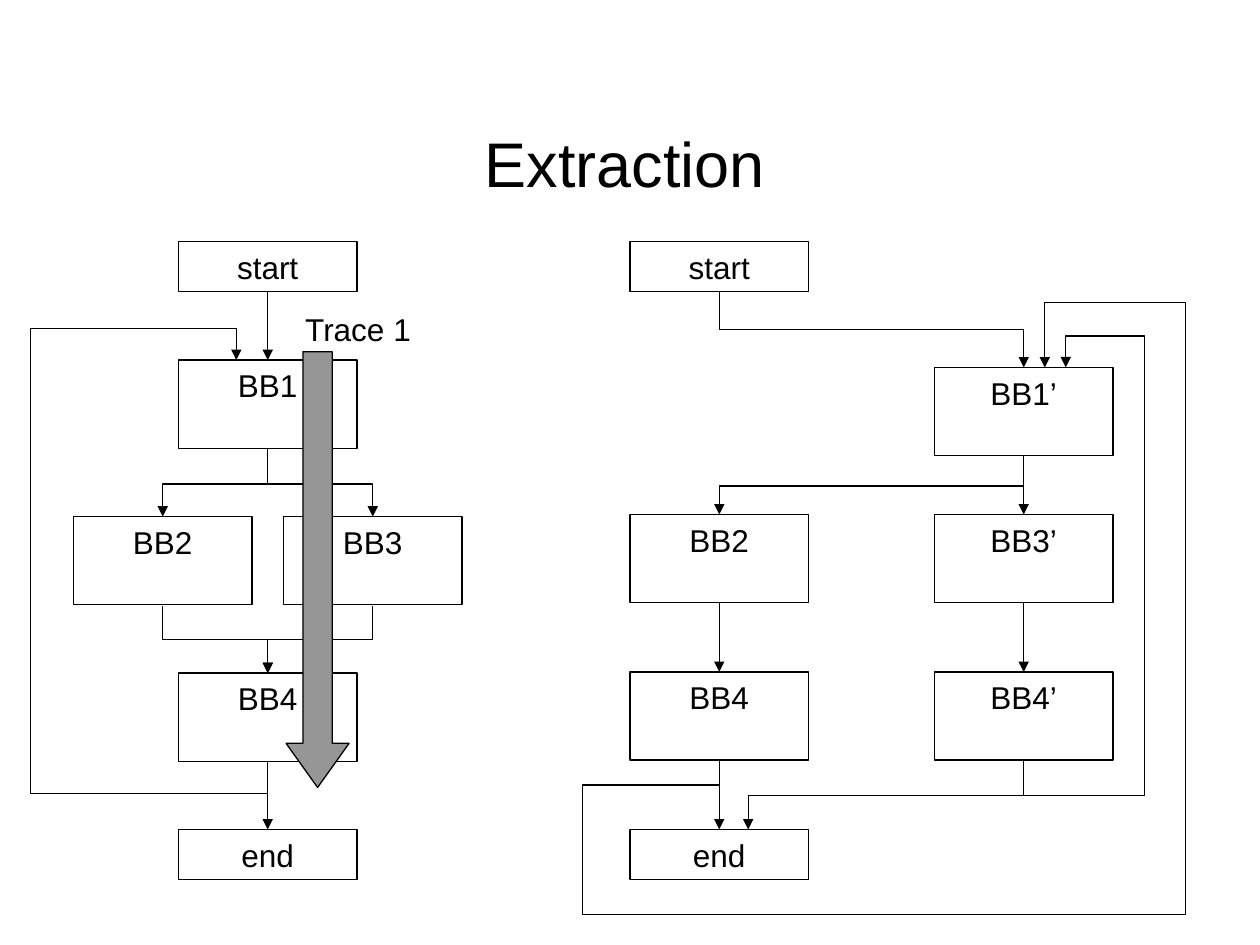
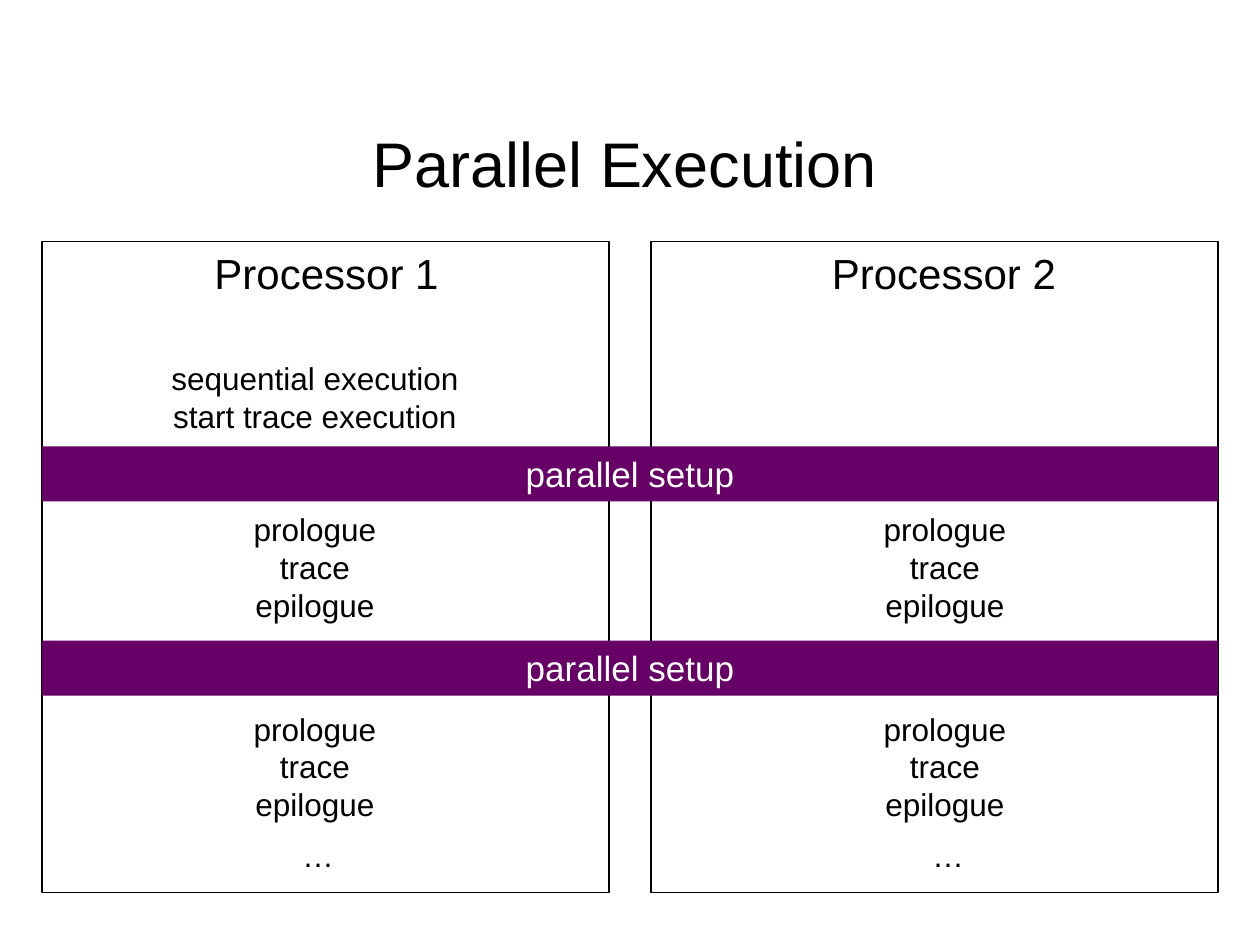
"""Build two slides on trace extraction and parallel execution."""
import lxml.etree
import pptx
import pptx.dml.color
import pptx.enum.shapes
import pptx.enum.text
import pptx.oxml.ns
import pptx.util

COLOURS = {"ink": "000000", "paper": "FFFFFF", "setup": "660066", "trace": "969696"}
FONT = "Arial"
UNIT = pptx.util.Inches(1) / 12
BLOCK_WIDTH, BLOCK_HEIGHT, TERMINAL_HEIGHT = 17, 8.4, 4.8
SHAPES = pptx.enum.shapes.MSO_SHAPE
CONNECTORS = pptx.enum.shapes.MSO_CONNECTOR
qn = pptx.oxml.ns.qn


def add_block(slide, words, area, size=18, fill=None, outline=None, ink="ink", wrap=True, preset=SHAPES.RECTANGLE):
    """Add a preset shape with centred text; area is in grid units."""
    block = slide.shapes.add_shape(preset, *(round(n * UNIT) for n in area))
    block.shadow.inherit = False
    block.fill.background()
    block.line.fill.background()
    if fill:
        block.fill.solid()
        block.fill.fore_color.rgb = pptx.dml.color.RGBColor.from_string(COLOURS[fill])
    if outline:
        block.line.color.rgb = pptx.dml.color.RGBColor.from_string(COLOURS[outline])
        block.line.width = pptx.util.Pt(0.75)
    frame = block.text_frame
    frame.text = words
    frame.word_wrap = wrap
    frame.vertical_anchor = pptx.enum.text.MSO_ANCHOR.TOP
    for paragraph in frame.paragraphs:
        paragraph.alignment = pptx.enum.text.PP_ALIGN.CENTER
        for run in paragraph.runs:
            run.font.name = FONT
            run.font.size = pptx.util.Pt(size)
            run.font.color.rgb = pptx.dml.color.RGBColor.from_string(COLOURS[ink])
    return block


def add_flow(slide, begin, end, turns=(), arrow=True):
    """Add a straight flow, or a vertical-first elbow turning at y or at y, x, y."""
    (x1, y1), (x2, y2) = begin, end
    dx, dy = x2 - x1, y2 - y1
    if turns:
        mid_x, mid_y = (x1 + x2) / 2, (y1 + y2) / 2
        half_w, half_h = abs(dy) / 2, abs(dx) / 2
        corners = (mid_x - half_w, mid_y - half_h, mid_x + half_w, mid_y + half_h)
    else:
        corners = (x1, y1, x2, y2)
    kind = CONNECTORS.ELBOW if turns else CONNECTORS.STRAIGHT
    flow = slide.shapes.add_connector(kind, *(round(n * UNIT) for n in corners))
    flow.line.color.rgb = pptx.dml.color.RGBColor.from_string(COLOURS["ink"])
    flow.line.width = pptx.util.Pt(0.75)
    properties = flow._element.spPr
    if turns:
        frame = properties.find(qn("a:xfrm"))
        frame.set("rot", str((90 if dx * dy < 0 else 270) * 60000))
        frame.set("flipH", str(int(dx > 0)))
        frame.set("flipV", str(int(dy < 0)))
        geometry = properties.find(qn("a:prstGeom"))
        geometry.set("prst", f"bentConnector{len(turns) + 2}")
        guides = geometry.find(qn("a:avLst"))
        if guides is None:
            guides = lxml.etree.SubElement(geometry, qn("a:avLst"))
        for i, turn in enumerate(turns):
            share = (turn - x1) / dx if i % 2 else (turn - y1) / dy
            lxml.etree.SubElement(guides, qn("a:gd"), name=f"adj{i + 1}", fmla=f"val {round(share * 100000)}")
    if arrow:
        lxml.etree.SubElement(properties.find(qn("a:ln")), qn("a:tailEnd"), type="triangle")
    lxml.etree.SubElement(properties, qn("a:effectLst"))
    return flow


deck = pptx.Presentation()
deck.slide_width = round(120 * UNIT)
deck.slide_height = round(90 * UNIT)

slides = []
for heading in ("Extraction", "Parallel Execution"):
    slide = deck.slides.add_slide(deck.slide_layouts[5])
    title = slide.shapes.title
    title.left, title.top, title.width, title.height = (round(n * UNIT) for n in (6, 8, 107, 15))
    title.text_frame.text = heading
    title.text_frame.vertical_anchor = pptx.enum.text.MSO_ANCHOR.MIDDLE
    caption = title.text_frame.paragraphs[0]
    caption.alignment = pptx.enum.text.PP_ALIGN.CENTER
    caption.runs[0].font.name = FONT
    caption.runs[0].font.size = pptx.util.Pt(36)
    caption.runs[0].font.color.rgb = pptx.dml.color.RGBColor.from_string(COLOURS["ink"])
    slides.append(slide)
extraction, execution = slides

before_blocks = {
    "start": (17, 23), "BB1": (17, 34.3), "BB2": (7, 49.2),
    "BB3": (27, 49.2), "BB4": (17, 64.1), "end": (17, 79),
}
after_blocks = {
    "start": (60, 23), "BB1’": (89, 35), "BB2": (60, 49), "BB3’": (89, 49),
    "BB4": (60, 64), "BB4’": (89, 64), "end": (60, 79),
}
before_steps = [("start", "BB1"), ("BB4", "end")]
after_steps = [("BB1’", "BB3’"), ("BB3’", "BB4’"), ("BB2", "BB4"), ("BB4", "end")]

for blocks, steps in ((before_blocks, before_steps), (after_blocks, after_steps)):
    drawn = {}
    for name, (column, row) in blocks.items():
        height = BLOCK_HEIGHT if name.startswith("BB") else TERMINAL_HEIGHT
        drawn[name] = add_block(extraction, name, (column, row, BLOCK_WIDTH, height), outline="ink")
    for source, target in steps:
        step = add_flow(extraction, blocks[source], blocks[target])
        step.begin_connect(drawn[source], 2)
        step.end_connect(drawn[target], 0)

branches = [
    ((25.5, 42.8), (15.5, 49.2), (46.1,)),
    ((25.5, 42.8), (35.5, 49.2), (46.1,)),
    ((15.5, 57.7), (25.5, 64.1), (60.9,)),
    ((35.5, 57.7), (25.5, 64.1), (60.9,)),
    ((25.5, 72.5), (22.5, 34.3), (75.6, 2.9, 31.3)),
    ((68.5, 27.8), (97.5, 35), (31.4,)),
    ((97.5, 43.5), (68.5, 49), (46.3,)),
    ((97.5, 72.5), (71.25, 79), (75.75,)),
    ((97.5, 72.5), (101.5, 35), (75.75, 109, 32)),
    ((55.5, 80), (99.5, 35), (87.1, 112.9, 28.8)),
]
for begin, end, turns in branches:
    add_flow(extraction, begin, end, turns)
add_flow(extraction, (68.5, 72.5), (55.5, 77), (74.75,), arrow=False)
add_flow(extraction, (55.5, 77), (55.5, 80), arrow=False)

add_block(extraction, "Trace 1", (27.8, 28.9, 12.6, 4.8), wrap=False)
trace = add_block(extraction, "", (27.25, 33.5, 6, 41.5), fill="trace", outline="ink", preset=SHAPES.DOWN_ARROW)
trace.adjustments[0] = 0.465
trace.adjustments[1] = 0.7

for number, left in enumerate((4, 62), start=1):
    add_block(execution, "", (left, 23, 54, 62), outline="ink")
    add_block(execution, f"Processor {number}", (19.2 + 58.8 * (number - 1), 23, 23.8, 6), size=24, wrap=False)
for row in (42.5, 61):
    add_block(execution, "parallel setup", (4, row, 112, 5.25), size=20, fill="setup", ink="paper")
add_block(execution, "sequential execution\nstart trace execution", (15.1, 33.6, 29.8, 8.4), wrap=False)
for left in (23, 83):
    for row in (48, 67):
        add_block(execution, "prologue\ntrace\nepilogue", (left, row, 14, 12), wrap=False)
    add_block(execution, "…", (left + 4.6, 79, 5.4, 4.8), wrap=False)

deck.save("out.pptx")
